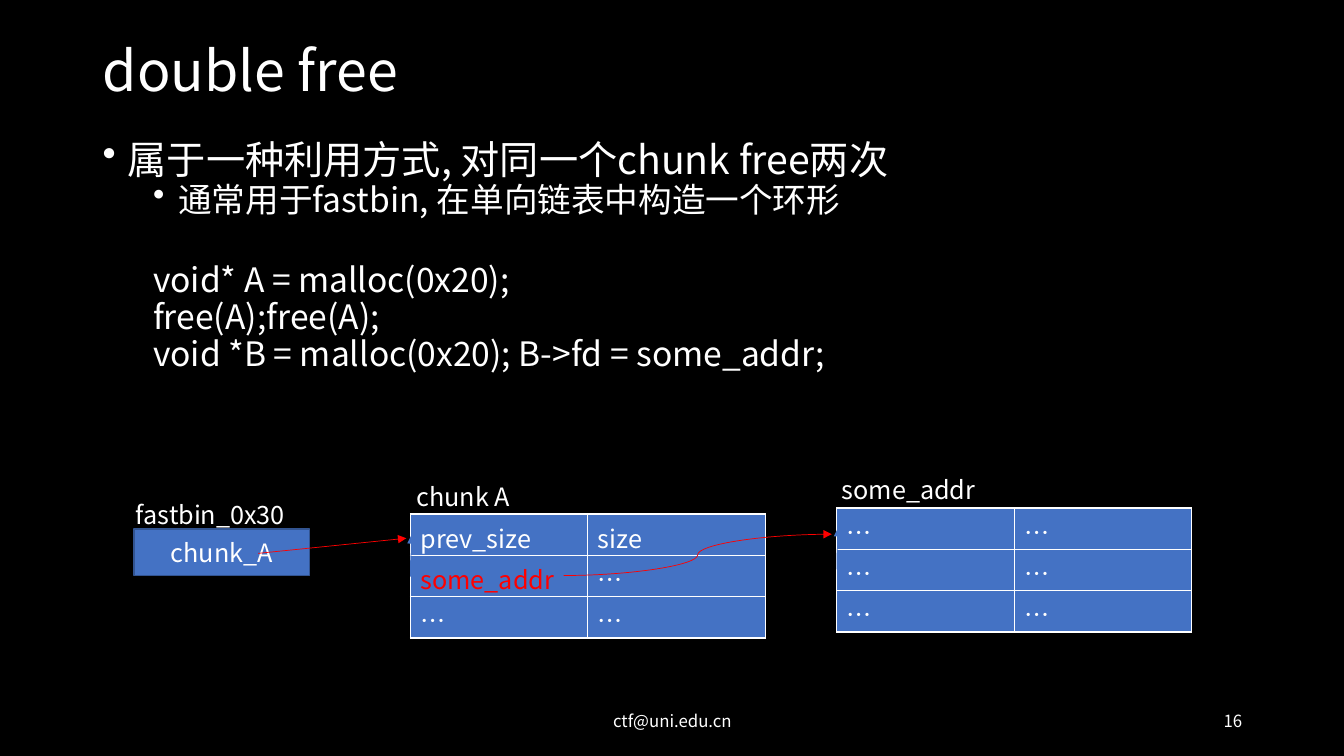
"""Build the double free slide with its fastbin and chunk diagram."""
from lxml import etree
from pptx import Presentation
from pptx import util as u
from pptx.dml.color import RGBColor
from pptx.enum import shapes, text
from pptx.oxml.ns import qn

FONT = "Noto Sans CJK SC"
WHITE, RED, BLUE = "FFFFFF", "FF0000", "4472C4"
ALIGN, ANCHOR = text.PP_ALIGN, text.MSO_ANCHOR


def rgb(value):
    return RGBColor.from_string(value)


class Deck:
    def __init__(self):
        self.prs = Presentation()
        self.prs.slide_width, self.prs.slide_height = u.Inches(13.33), u.Inches(7.5)
        self.s = self.prs.slides.add_slide(self.prs.slide_layouts[5])
        self.s.background.fill.solid()
        self.s.background.fill.fore_color.rgb = rgb("000000")

    def style(self, p, size, color=WHITE, align=ALIGN.LEFT):
        p.alignment = align
        for r in p.runs:
            r.font.name, r.font.size = FONT, u.Pt(size)
            r.font.color.rgb = rgb(color)

    def title(self, words, x, y, w, h):
        sp = self.s.shapes.title
        sp.left, sp.top, sp.width, sp.height = map(u.Inches, (x, y, w, h))
        tf = sp.text_frame
        tf.text, tf.vertical_anchor = words, ANCHOR.MIDDLE
        tf.paragraphs[0].line_spacing = 0.9
        self.style(tf.paragraphs[0], 39.6)

    def label(self, words, x, y, w=1.81, h=0.4, size=18, align=ALIGN.LEFT, anchor=ANCHOR.TOP):
        tf = self.s.shapes.add_textbox(*map(u.Inches, (x, y, w, h))).text_frame
        tf.word_wrap, tf.vertical_anchor = True, anchor
        tf.text = words
        self.style(tf.paragraphs[0], size, align=align)

    def body(self, lines, x, y, w, h):
        tf = self.s.shapes.add_textbox(*map(u.Inches, (x, y, w, h))).text_frame
        tf.word_wrap = True
        for i, (words, level, size, margin, bullet, before) in enumerate(lines):
            p = tf.add_paragraph() if i else tf.paragraphs[0]
            p.text, p.level = words, level
            p.line_spacing, p.space_before = 0.8, u.Pt(before)
            self.style(p, size)
            pPr = p._p.get_or_add_pPr()
            pPr.set("marL", str(u.Inches(margin)))
            pPr.set("indent", str(u.Inches(-0.25 if bullet else 0)))
            if bullet:
                etree.SubElement(pPr, qn("a:buChar")).set("char", "•")

    def box(self, words, x, y, w, h):
        sp = self.s.shapes.add_shape(shapes.MSO_SHAPE.RECTANGLE, *map(u.Inches, (x, y, w, h)))
        sp.shadow.inherit = False
        sp.fill.solid()
        sp.fill.fore_color.rgb = rgb(BLUE)
        sp.line.color.rgb, sp.line.width = rgb("325491"), u.Pt(1)
        tf = sp.text_frame
        tf.text, tf.vertical_anchor = words, ANCHOR.MIDDLE
        self.style(tf.paragraphs[0], 18, align=ALIGN.CENTER)

    def border(self, cell):
        tcPr = cell._tc.get_or_add_tcPr()
        for i, side in enumerate(("a:lnL", "a:lnR", "a:lnT", "a:lnB")):
            ln = etree.Element(qn(side), w=str(u.Pt(1)))
            fill = etree.SubElement(ln, qn("a:solidFill"))
            etree.SubElement(fill, qn("a:srgbClr")).set("val", WHITE)
            tcPr.insert(i, ln)

    def table(self, rows, x, y, col=1.76, row=0.41):
        n, m = len(rows), len(rows[0])
        tbl = self.s.shapes.add_table(n, m, *map(u.Inches, (x, y, col * m, row * n))).table
        tbl.first_row = tbl.horz_banding = False
        for i, words in enumerate(rows):
            tbl.rows[i].height = u.Inches(row)
            for j, word in enumerate(words):
                cell = tbl.cell(i, j)
                cell.text = word
                cell.fill.solid()
                cell.fill.fore_color.rgb = rgb(BLUE)
                self.style(cell.text_frame.paragraphs[0], 18, RED if word == "some_addr" else WHITE)
                self.border(cell)

    def arrow(self, kind, start, end, color=RED, turn=0):
        sp = self.s.shapes.add_connector(kind, *map(u.Inches, start + end))
        sp.line.color.rgb, sp.line.width = rgb(color), u.Pt(0.5)
        etree.SubElement(sp.line._get_or_add_ln(), qn("a:tailEnd")).set("type", "triangle")
        spPr = sp._element.spPr
        etree.SubElement(spPr, qn("a:effectLst"))
        if turn:
            spPr.find(qn("a:xfrm")).set("rot", str(turn * 60000))


def main():
    d = Deck()
    line, curve = shapes.MSO_CONNECTOR.STRAIGHT, shapes.MSO_CONNECTOR.CURVE
    d.title("double free", 0.92, 0.35, 11.5, 0.75)
    d.body([
        ("属于一种利用方式, 对同一个chunk free两次", 0, 28, 0.25, True, 0),
        ("通常用于fastbin, 在单向链表中构造一个环形", 1, 24, 0.75, True, 3.3),
        ("void* A = malloc(0x20);", 1, 24, 0.5, False, 34.4),
        ("free(A);free(A);", 1, 24, 0.5, False, 3.3),
        ("void *B = malloc(0x20); B->fd = some_addr;", 1, 24, 0.5, False, 3.3),
    ], 0.92, 1.38, 11.5, 5.37)
    d.label("ctf@uni.edu.cn", 4.42, 6.95, 4.5, size=12, align=ALIGN.CENTER, anchor=ANCHOR.MIDDLE)
    d.label("16", 9.42, 6.95, 3, size=12, align=ALIGN.RIGHT, anchor=ANCHOR.MIDDLE)
    d.box("chunk_A", 1.33, 5.25, 1.74, 0.46)
    d.arrow(line, (2.56, 5.49), (4.03, 5.34))
    d.table([("prev_size", "size"), ("some_addr", "…"), ("…", "…")], 4.07, 5.1)
    d.label("chunk A", 4.03, 4.73)
    d.label("fastbin_0x30", 1.25, 4.9)
    d.arrow(curve, (4.28, 5.52), (3.87, 5.51), BLUE, 90)
    d.table([("…", "…")] * 3, 8.3, 5.04)
    d.label("some_addr", 8.25, 4.66)
    d.arrow(curve, (8.51, 5.45), (8.1, 5.44), BLUE, 90)
    d.arrow(curve, (5.59, 5.71), (8.25, 5.3))
    d.prs.save("out.pptx")


if __name__ == "__main__":
    main()
